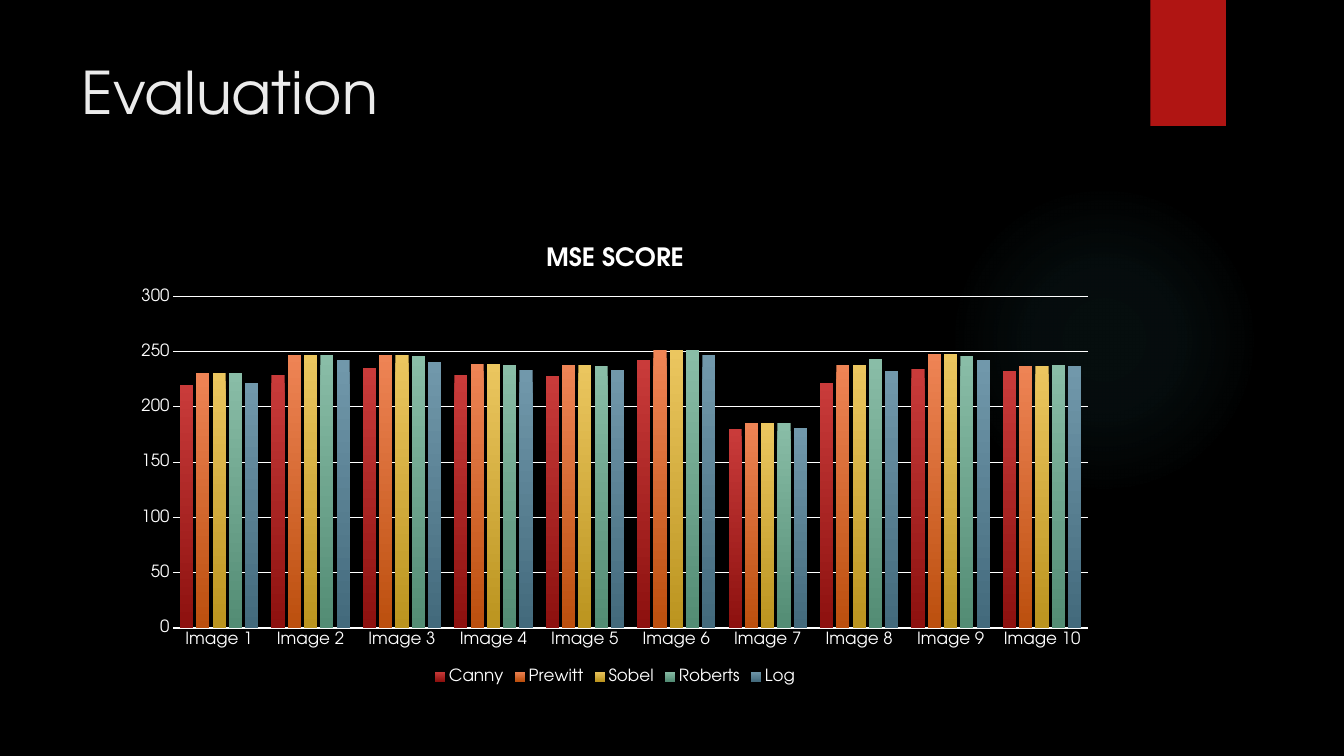
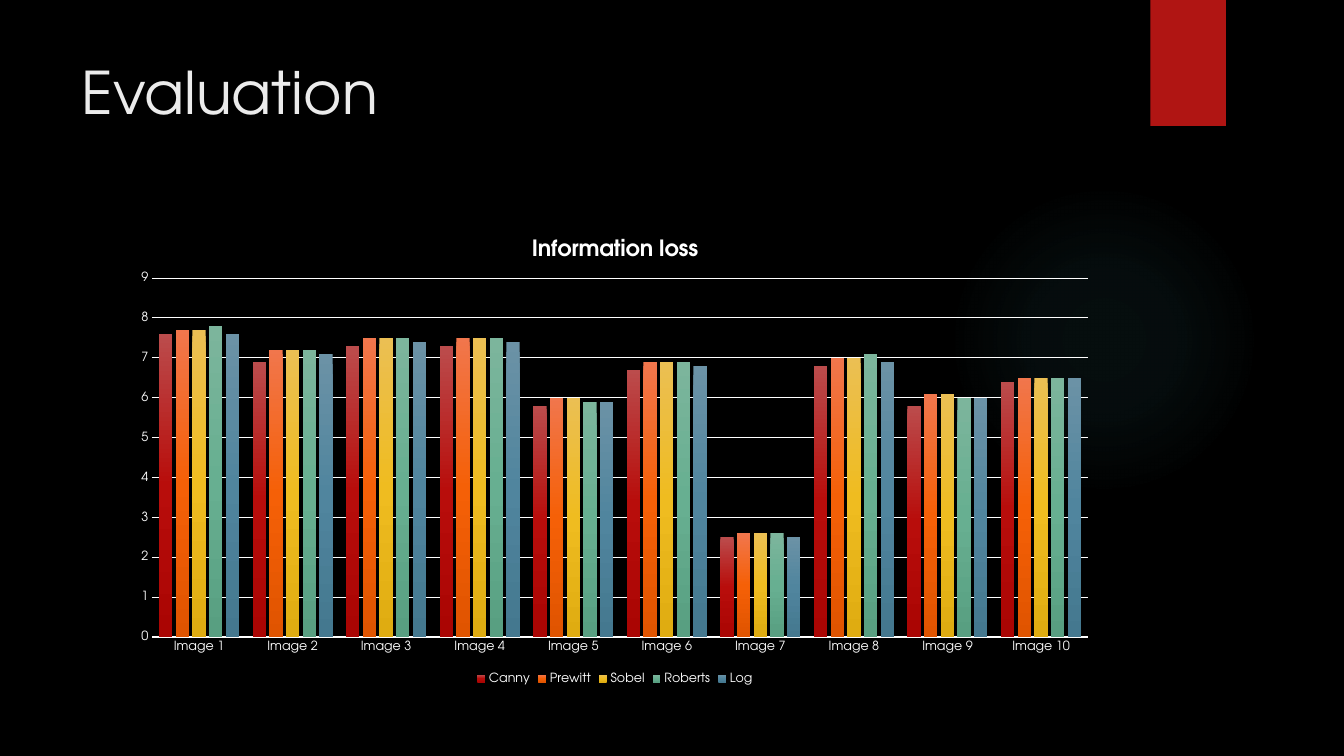
from dataclasses import dataclass

from lxml.etree import SubElement as Sub
from pptx import Presentation
from pptx.chart.data import CategoryChartData as Data
from pptx.dml.color import RGBColor as Rgb
from pptx.enum.chart import XL_CHART_TYPE as Kind
from pptx.enum.chart import XL_LEGEND_POSITION as Side
from pptx.enum.chart import XL_TICK_MARK as Tick
from pptx.enum.shapes import MSO_SHAPE as Form
from pptx.enum.text import MSO_ANCHOR as Anchor
from pptx.oxml import parse_xml
from pptx.oxml.ns import qn
from pptx.util import Pt

PX = 9144  # EMU in one px, at 100 px to the inch


@dataclass(frozen=True)
class Theme:
    font: str = "TeX Gyre Adventor"
    back: str = "000000"
    band: str = "B01513"
    glow: str = "50B9C1"
    head: str = "EBEBEB"
    ink: str = "FFFFFF"
    head_size: int = 42
    base_size: int = 10
    grid: float = 0.75
    axis: float = 1


def emu(*box):
    return [n * PX for n in box]


def paint(font, size, color, face, bold=False):
    font.size, font.name, font.bold = Pt(size), face, bold
    font.color.rgb = Rgb.from_string(color)


def blend(fill, props, stops, shade):
    """Give props a gradient of (position, colour, opacity) stops, in percent."""
    fill.solid()
    grad = parse_xml(
        '<a:gradFill xmlns:a="http://schemas.openxmlformats.org/drawingml/2006/main"'
        f' rotWithShape="1"><a:gsLst/>{shade}</a:gradFill>')
    for pos, color, clear in stops:
        stop = Sub(grad[0], qn("a:gs"), pos=str(pos * 1000))
        tone = Sub(stop, qn("a:srgbClr"), val=color)
        if clear < 100:
            Sub(tone, qn("a:alpha"), val=str(clear * 1000))
    old = props.find(qn("a:solidFill"))
    props.replace(old, grad)


class Deck:
    def __init__(self, theme, wide, high):
        self.theme = theme
        self.file = Presentation()
        self.file.slide_width, self.file.slide_height = emu(wide, high)
        self.slide = None

    def page(self, title):
        look = self.theme
        self.slide = self.file.slides.add_slide(self.file.slide_layouts[6])
        fill = self.slide.background.fill
        fill.solid()
        fill.fore_color.rgb = Rgb.from_string(look.back)
        self.glow(941, 183, 308, 308)
        self.band(1141, 0, 75, 125)
        self.title(title, 71, 50, 1029, 153)

    def shape(self, form, box):
        item = self.slide.shapes.add_shape(form, *emu(*box))
        item.shadow.inherit = False
        item.line.fill.background()
        return item

    def glow(self, *box):
        item = self.shape(Form.OVAL, box)
        stops = [(pos, self.theme.glow, clear)
                 for pos, clear in ((0, 7), (36, 6), (69, 0))]
        shade = ('<a:path path="circle"><a:fillToRect l="50000" t="50000"'
                 ' r="50000" b="50000"/></a:path>')
        blend(item.fill, item.element.spPr, stops, shade)

    def band(self, *box):
        item = self.shape(Form.RECTANGLE, box)
        item.fill.solid()
        item.fill.fore_color.rgb = Rgb.from_string(self.theme.band)
        list_ = item.element.spPr.find(qn("a:effectLst"))
        cast = Sub(list_, qn("a:outerShdw"), blurRad=str(Pt(3)),
                   dist=str(Pt(2)), dir="5400000", rotWithShape="0")
        tone = Sub(cast, qn("a:srgbClr"), val="000000")
        Sub(tone, qn("a:alpha"), val="45000")

    def title(self, text, *box):
        frame = self.slide.shapes.add_textbox(*emu(*box)).text_frame
        frame.word_wrap = True
        frame.vertical_anchor = Anchor.TOP
        frame.text = text
        look = self.theme
        paint(frame.paragraphs[0].font, look.head_size, look.head, look.font)

    def chart(self, title, box, plot, cats, rows, tones, size, big, top, step):
        """Draw clustered columns; plot is the inner plot box on the slide."""
        look = self.theme
        data = Data()
        data.categories = cats
        for name, vals in rows.items():
            data.add_series(name, vals)
        chart = self.slide.shapes.add_chart(
            Kind.COLUMN_CLUSTERED, *emu(*box), data).chart
        paint(chart.font, look.base_size, look.ink, look.font)
        frame = chart.chart_title.text_frame
        frame.text = title
        paint(frame.paragraphs[0].font, big, look.ink, look.font, True)
        chart.chart_title.include_in_layout = False

        chart.has_legend = True
        chart.legend.position = Side.BOTTOM
        chart.legend.include_in_layout = False
        paint(chart.legend.font, size, look.ink, look.font)
        self.axes(chart, size, top, step)

        bars = chart.plots[0]
        bars.gap_width, bars.overlap = 100, -24
        bars.vary_by_categories = False
        for row, tone in zip(bars.series, tones):
            last = len(tone) - 1
            stops = [(100 * i // last, c, 100) for i, c in enumerate(tone)]
            blend(row.format.fill, row._element.spPr, stops,
                  '<a:lin ang="5400000" scaled="0"/>')
            row.invert_if_negative = False
        self.place(chart, box, plot)

    def axes(self, chart, size, top, step):
        look = self.theme
        ink = Rgb.from_string(look.ink)
        cat, val = chart.category_axis, chart.value_axis
        for axis in (cat, val):
            axis.major_tick_mark = axis.minor_tick_mark = Tick.NONE
            paint(axis.tick_labels.font, size, look.ink, look.font)
        val.minimum_scale, val.maximum_scale, val.major_unit = 0, top, step
        val.has_major_gridlines = True
        val.format.line.fill.background()
        for line, width in ((cat.format.line, look.axis),
                            (val.major_gridlines.format.line, look.grid)):
            line.color.rgb = ink
            line.width = Pt(width)

    def place(self, chart, box, plot):
        area = chart._chartSpace.chart.plotArea
        for old in area.findall(qn("c:layout")):
            area.remove(old)
        lay = Sub(area, qn("c:layout"))
        area.insert(0, lay)
        hand = Sub(lay, qn("c:manualLayout"))
        left, up, wide, high = box
        part = {"layoutTarget": "inner", "xMode": "edge", "yMode": "edge",
                "x": (plot[0] - left) / wide, "y": (plot[1] - up) / high,
                "w": plot[2] / wide, "h": plot[3] / high}
        for tag, val in part.items():
            Sub(hand, qn(f"c:{tag}"), val=str(val))


CATS = [f"Image {n}" for n in range(1, 11)]

MSE = {
    "Canny": (220, 229, 235, 229, 228, 242, 180, 222, 234, 232),
    "Prewitt": (231, 247, 247, 239, 238, 251, 185, 238, 248, 237),
    "Sobel": (231, 247, 247, 239, 238, 251, 185, 238, 248, 237),
    "Roberts": (231, 247, 246, 238, 237, 251, 185, 243, 246, 238),
    "Log": (222, 242, 241, 233, 233, 247, 181, 232, 242, 237),
}
MSE_TONES = [
    ("C93B3A", "8D110F"), ("EE8455", "BC4F0E"), ("EBC65F", "BB941F"),
    ("89BDA7", "538C74"), ("7198AB", "436A7C"),
]

LOSS = {
    "Canny": (7.6, 6.9, 7.3, 7.3, 5.8, 6.7, 2.5, 6.8, 5.8, 6.4),
    "Prewitt": (7.7, 7.2, 7.5, 7.5, 6, 6.9, 2.6, 7, 6.1, 6.5),
    "Sobel": (7.7, 7.2, 7.5, 7.5, 6, 6.9, 2.6, 7, 6.1, 6.5),
    "Roberts": (7.8, 7.2, 7.5, 7.5, 5.9, 6.9, 2.6, 7.1, 6, 6.5),
    "Log": (7.6, 7.1, 7.4, 7.4, 5.9, 6.8, 2.5, 6.9, 6, 6.5),
}
LOSS_TONES = [
    ("BB4C4C", "B80D0B", "AA0503"), ("F1764C", "F56007", "E05400"),
    ("EBBF53", "EFBC20", "DFAC11"), ("7CB59C", "67AF91", "589F81"),
    ("6B92A6", "50859E", "44788F"),
]


def main():
    deck = Deck(Theme(), 1333, 750)
    deck.page("Evaluation")
    deck.chart("MSE SCORE", (121, 224, 978, 459), (172, 294, 907, 329),
               CATS, MSE, MSE_TONES, size=12, big=18, top=300, step=50)
    deck.page("Evaluation")
    deck.chart("Information loss", (121, 216, 978, 467), (151, 276, 928, 356),
               CATS, LOSS, LOSS_TONES, size=9, big=16, top=9, step=1)
    deck.file.save("out.pptx")


if __name__ == "__main__":
    main()
